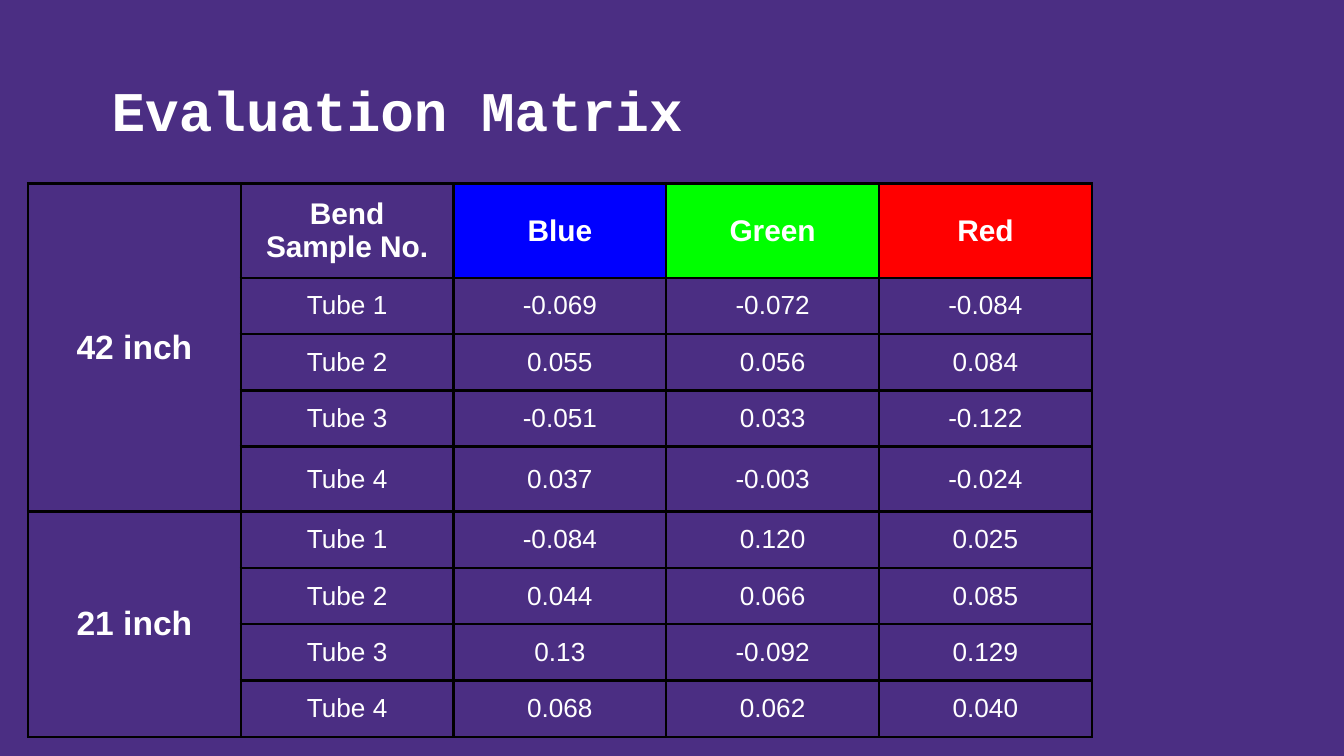
"""Build the evaluation matrix slide of bend samples by tube length."""
from dataclasses import dataclass

import pptx
import pptx.dml.color
import pptx.enum.text
import pptx.oxml
import pptx.oxml.ns
import pptx.util
from pptx.util import Pt

PURPLE, WHITE, BLACK = "4B2E83", "FFFFFF", "000000"
COLUMN_WIDTH = 114
HEADER_HEIGHT, SAMPLE_HEIGHT, TALL_HEIGHT = 50.4, 30, 34.8
BORDER_WIDTH = 1.5


@dataclass
class Heading:
    label: str
    fill: str | None = None


@dataclass
class TubeLength:
    label: str
    first_row: int
    last_row: int
    samples: list[tuple[str, str, str]]


HEADINGS = [
    Heading("Bend Sample No."),
    Heading("Blue", "0000FF"),
    Heading("Green", "00FF00"),
    Heading("Red", "FF0000"),
]
TUBE_LENGTHS = [
    TubeLength("42 inch", 0, 4, [
        ("-0.069", "-0.072", "-0.084"),
        ("0.055", "0.056", "0.084"),
        ("-0.051", "0.033", "-0.122"),
        ("0.037", "-0.003", "-0.024"),
    ]),
    TubeLength("21 inch", 5, 8, [
        ("-0.084", "0.120", "0.025"),
        ("0.044", "0.066", "0.085"),
        ("0.13", "-0.092", "0.129"),
        ("0.068", "0.062", "0.040"),
    ]),
]


def color(value: str) -> pptx.dml.color.RGBColor:
    return pptx.dml.color.RGBColor.from_string(value)


def style_font(font, name: str, size: float, bold: bool) -> None:
    font.name, font.size, font.bold = name, Pt(size), bold
    font.color.rgb = color(WHITE)


def format_cell(cell, fill: str | None = None) -> None:
    properties = cell._tc.get_or_add_tcPr()
    for side in ("lnL", "lnR", "lnT", "lnB"):
        properties.append(pptx.oxml.parse_xml(
            f'<a:{side} {pptx.oxml.ns.nsdecls("a")} w="{Pt(BORDER_WIDTH)}">'
            f'<a:solidFill><a:srgbClr val="{BLACK}"/></a:solidFill></a:{side}>'
        ))
    if fill:
        cell.fill.solid()
        cell.fill.fore_color.rgb = color(fill)
    else:
        cell.fill.background()
    cell.margin_left = cell.margin_right = Pt(7.2)
    cell.margin_top = cell.margin_bottom = Pt(7.2)
    cell.vertical_anchor = pptx.enum.text.MSO_ANCHOR.MIDDLE


def write_cell(cell, text: str, size: float, bold: bool = False) -> None:
    cell.text = text
    paragraph = cell.text_frame.paragraphs[0]
    paragraph.alignment = pptx.enum.text.PP_ALIGN.CENTER
    style_font(paragraph.font, "Arial", size, bold)


def add_title(slide, text: str) -> None:
    title = slide.shapes.title
    title.left, title.top, title.width, title.height = Pt(52.6), Pt(21.6), Pt(635), Pt(58.3)
    title.text_frame.text = text
    title.text_frame.vertical_anchor = pptx.enum.text.MSO_ANCHOR.BOTTOM
    paragraph = title.text_frame.paragraphs[0]
    paragraph.alignment = pptx.enum.text.PP_ALIGN.LEFT
    style_font(paragraph.font, "Courier New", 30, True)


def add_matrix(slide) -> None:
    heights = [HEADER_HEIGHT] + [SAMPLE_HEIGHT] * 8
    heights[TUBE_LENGTHS[0].last_row] = TALL_HEIGHT
    column_count = len(HEADINGS) + 1
    matrix = slide.shapes.add_table(
        len(heights), column_count, Pt(15), Pt(98.4),
        Pt(COLUMN_WIDTH * column_count), Pt(sum(heights)),
    ).table
    matrix.first_row = matrix.horz_banding = False
    for column in matrix.columns:
        column.width = Pt(COLUMN_WIDTH)
    for row, height in zip(matrix.rows, heights):
        row.height = Pt(height)

    fills = {(0, column): heading.fill for column, heading in enumerate(HEADINGS, 1)}
    for row in range(len(heights)):
        for column in range(column_count):
            format_cell(matrix.cell(row, column), fills.get((row, column)))

    for column, heading in enumerate(HEADINGS, 1):
        write_cell(matrix.cell(0, column), heading.label, 16, True)
    for length in TUBE_LENGTHS:
        label_cell = matrix.cell(length.first_row, 0)
        label_cell.merge(matrix.cell(length.last_row, 0))
        write_cell(label_cell, length.label, 18, True)
        first_sample_row = length.last_row - len(length.samples) + 1
        for index, readings in enumerate(length.samples):
            for column, text in enumerate((f"Tube {index + 1}", *readings), 1):
                write_cell(matrix.cell(first_sample_row + index, column), text, 14)


def main() -> None:
    presentation = pptx.Presentation()
    presentation.slide_width, presentation.slide_height = Pt(720), Pt(405)
    slide = presentation.slides.add_slide(presentation.slide_layouts[5])
    slide.background.fill.solid()
    slide.background.fill.fore_color.rgb = color(PURPLE)
    add_title(slide, "Evaluation Matrix")
    add_matrix(slide)
    presentation.save("out.pptx")


if __name__ == "__main__":
    main()
